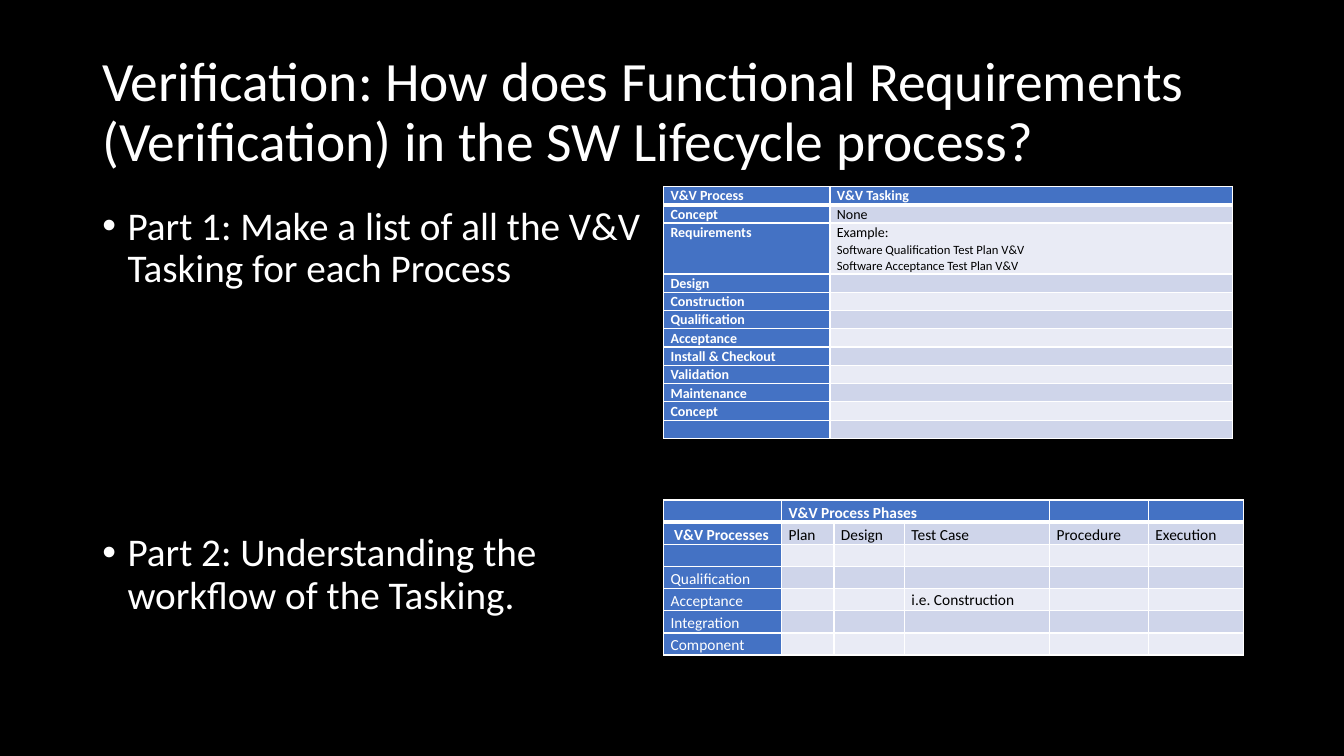
"""Build the V&V tasking slide with its two worksheet tables."""
import dataclasses

import lxml.etree
import pptx
import pptx.dml.color
import pptx.enum.text
import pptx.oxml.ns
import pptx.util

Pt = pptx.util.Pt
Anchor = pptx.enum.text.MSO_ANCHOR
qn = pptx.oxml.ns.qn


@dataclasses.dataclass(frozen=True)
class Theme:
    font: str = "Calibri"
    background: str = "000000"
    light: str = "FFFFFF"
    dark: str = "000000"
    header: str = "4472C4"
    bands: tuple = ("E9EBF5", "CFD5EA")
    title_size: float = 39.6
    body_size: float = 28
    tasking_size: float = 10
    detail_size: float = 9
    phases_size: float = 11


theme = Theme()


def add_text(paragraph, text, size, color, bold=False):
    run = paragraph.add_run()
    run.text = text
    formats = {"name": theme.font, "size": Pt(size), "bold": bold}
    for name, value in formats.items():
        setattr(run.font, name, value)
    run.font.color.rgb = pptx.dml.color.RGBColor.from_string(color)


def add_border(cell, side, width):
    properties = cell._tc.get_or_add_tcPr()
    line = lxml.etree.SubElement(properties, qn(f"a:ln{side}"), w=str(Pt(width)))
    fill = lxml.etree.SubElement(line, qn("a:solidFill"))
    lxml.etree.SubElement(fill, qn("a:srgbClr"), val=theme.light)


presentation = pptx.Presentation()
presentation.slide_width = Pt(960)
presentation.slide_height = Pt(540)
slide = presentation.slides.add_slide(presentation.slide_layouts[6])
slide.background.fill.solid()
slide.background.fill.fore_color.rgb = pptx.dml.color.RGBColor.from_string(theme.background)

title = slide.shapes.add_textbox(Pt(66), Pt(28.75), Pt(828), Pt(104.4))
title.text_frame.word_wrap = True
title.text_frame.vertical_anchor = Anchor.MIDDLE
title_paragraph = title.text_frame.paragraphs[0]
title_paragraph.line_spacing = 0.9
add_text(
    title_paragraph,
    "Verification: How does Functional Requirements (Verification) in the SW Lifecycle process?",
    theme.title_size,
    theme.light,
)

body = slide.shapes.add_textbox(Pt(66), Pt(143.75), Pt(408), Pt(342.6))
body.text_frame.word_wrap = True
parts = [
    ("Part 1: Make a list of all the V&V Tasking for each Process", 10),
    ("Part 2: Understanding the workflow of the Tasking.", 173),
]
for index, (text, space_before) in enumerate(parts):
    paragraph = body.text_frame.add_paragraph() if index else body.text_frame.paragraphs[0]
    paragraph.line_spacing = 0.9
    paragraph.space_before = Pt(space_before)
    properties = paragraph._p.get_or_add_pPr()
    properties.set("marL", str(Pt(18)))
    properties.set("indent", str(Pt(-18)))
    lxml.etree.SubElement(properties, qn("a:buFont"), typeface="Arial")
    lxml.etree.SubElement(properties, qn("a:buChar"), char="•")
    add_text(paragraph, text, theme.body_size, theme.light)

tasking = {
    "place": (474, 133.2),
    "columns": [118.8, 287.3],
    "heights": [13.06, 13.06, 36.5] + [13.06] * 9,
    "size": theme.tasking_size,
    "anchor": Anchor.TOP,
    "bold_rows": range(12),
    "rows": [
        ["V&V Process", "V&V Tasking"],
        ["Concept", "None"],
        [
            "Requirements",
            "Example: \nSoftware Qualification Test Plan V&V\nSoftware Acceptance Test Plan V&V",
        ],
        ["Design"],
        ["Construction"],
        ["Qualification"],
        ["Acceptance"],
        ["Install & Checkout"],
        ["Validation"],
        ["Maintenance"],
        ["Concept"],
        [],
    ],
}
phases = {
    "place": (474, 357.2),
    "columns": [84.3, 37.4, 50.4, 103.7, 70.6, 67.7],
    "heights": [15.84] * 7,
    "size": theme.phases_size,
    "anchor": Anchor.BOTTOM,
    "bold_rows": range(2),
    "rows": [
        ["", "V&V Process Phases"],
        [" V&V Processes", "Plan", "Design", "Test Case", "Procedure", "Execution"],
        [],
        ["Qualification"],
        ["Acceptance", "", "", "i.e. Construction "],
        ["Integration"],
        ["Component"],
    ],
}

for content in (tasking, phases):
    columns, heights = content["columns"], content["heights"]
    left, top = content["place"]
    table = slide.shapes.add_table(
        len(heights), len(columns), Pt(left), Pt(top), Pt(sum(columns)), Pt(sum(heights))
    ).table
    for column, width in zip(table.columns, columns):
        column.width = Pt(width)
    for row_index, (row, height) in enumerate(zip(table.rows, heights)):
        row.height = Pt(height)
        texts = content["rows"][row_index]
        for column_index, cell in enumerate(row.cells):
            is_header = row_index == 0 or column_index == 0
            color = theme.light if is_header else theme.dark
            bold = is_header and row_index in content["bold_rows"]
            formats = {
                "margin_left": Pt(5),
                "margin_right": Pt(5),
                "margin_top": 0,
                "margin_bottom": 0,
                "vertical_anchor": content["anchor"],
            }
            for name, value in formats.items():
                setattr(cell, name, value)
            for side in "LRTB":
                is_thick = (row_index, side) in ((0, "B"), (1, "T"))
                add_border(cell, side, 3 if is_thick else 1)
            cell.fill.solid()
            cell.fill.fore_color.rgb = pptx.dml.color.RGBColor.from_string(
                theme.header if is_header else theme.bands[row_index % 2]
            )
            paragraph = cell.text_frame.paragraphs[0]
            paragraph.line_spacing = 1.07
            text = texts[column_index] if column_index < len(texts) else ""
            if text:
                for line_index, line in enumerate(text.split("\n")):
                    if line_index:
                        paragraph.add_line_break()
                    size = theme.detail_size if line_index else content["size"]
                    add_text(paragraph, line, size, color, bold)
            else:
                lxml.etree.SubElement(
                    paragraph._p, qn("a:endParaRPr"), sz=str(content["size"] * 100)
                )
    if content is phases:
        table.cell(0, 1).merge(table.cell(0, 3))
        table.cell(4, 3).vertical_anchor = Anchor.MIDDLE

presentation.save("out.pptx")
